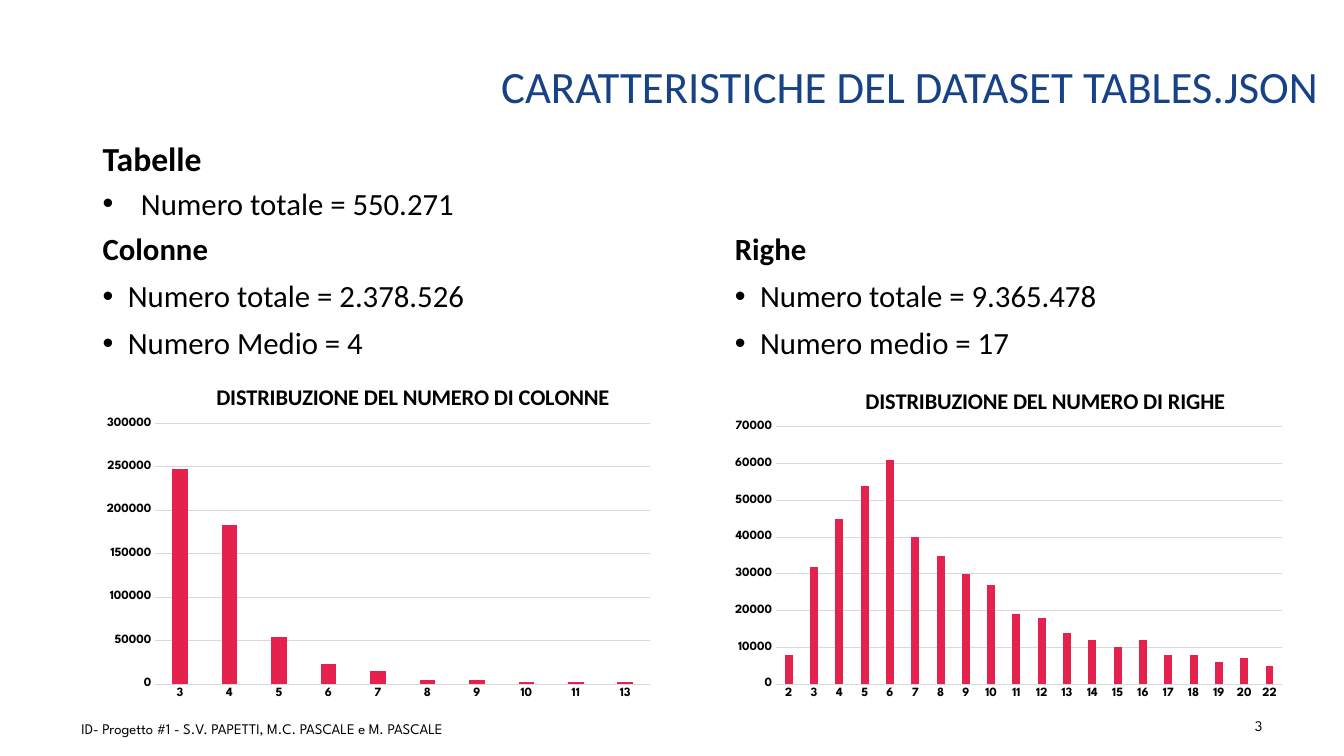
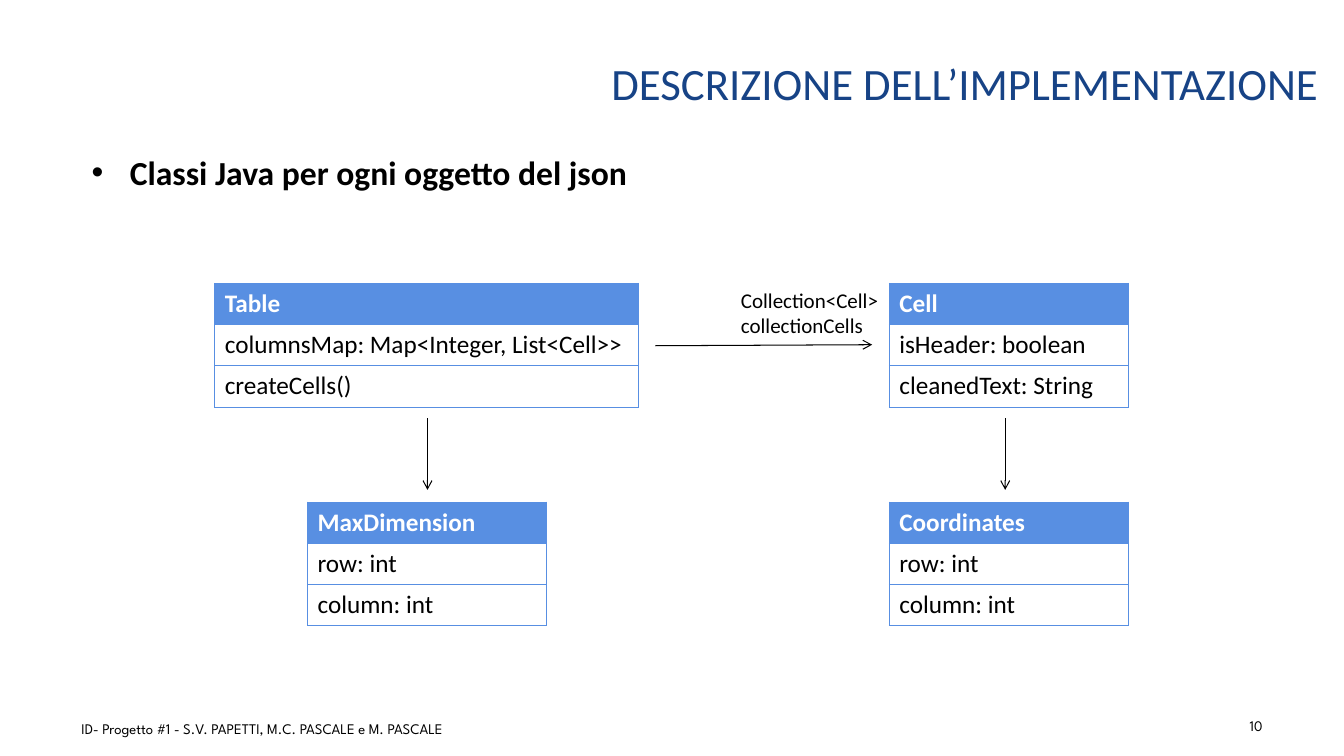
from lxml import etree
from pptx import Presentation
from pptx.chart.data import CategoryChartData
from pptx.dml.color import RGBColor
from pptx.enum.chart import XL_CHART_TYPE, XL_TICK_MARK
from pptx.enum.shapes import MSO_CONNECTOR
from pptx.enum.text import MSO_ANCHOR, PP_ALIGN
from pptx.oxml.ns import qn
from pptx.util import Inches, Pt

COLUMNS = XL_CHART_TYPE.COLUMN_CLUSTERED
NO_TICK = XL_TICK_MARK.NONE
STRAIGHT = MSO_CONNECTOR.STRAIGHT
TOP, MIDDLE, BOTTOM = MSO_ANCHOR.TOP, MSO_ANCHOR.MIDDLE, MSO_ANCHOR.BOTTOM
LEFT, RIGHT = PP_ALIGN.LEFT, PP_ALIGN.RIGHT

COLORS = {
    "title": "174386",
    "text": "000000",
    "white": "FFFFFF",
    "bar": "E5224E",
    "grid": "D9D9D9",
    "table": "588FE2",
}
BODY_FONT = "Calibri"
SMALL_FONT = "League Spartan"
FOOTER = "ID- Progetto #1 - S.V. PAPETTI, M.C. PASCALE e M. PASCALE"
ROW_HEIGHT = 0.41


def rgb(name):
    return RGBColor.from_string(COLORS[name])


def style_font(font, size, color="text", bold=False, name=BODY_FONT):
    font.name, font.size, font.bold = name, Pt(size), bold
    font.color.rgb = rgb(color)


def add_bullet(paragraph, indent):
    properties = paragraph._p.get_or_add_pPr()
    properties.set("marL", str(Inches(indent)))
    properties.set("indent", str(-Inches(indent)))
    etree.SubElement(properties, qn("a:buFont"), typeface="Arial")
    etree.SubElement(properties, qn("a:buChar"), char="•")


def add_border(cell):
    properties = cell._tc.get_or_add_tcPr()
    for side in ("a:lnL", "a:lnR", "a:lnT", "a:lnB"):
        line = etree.SubElement(properties, qn(side), w=str(Pt(0.75)))
        fill = etree.SubElement(line, qn("a:solidFill"))
        etree.SubElement(fill, qn("a:srgbClr"), val=COLORS["table"])


def place_in_chart(element, **fractions):
    """Pin a chart title or plot area at fractions of the chart's size."""
    for automatic in element.findall(qn("c:layout")):
        element.remove(automatic)
    layout = etree.Element(qn("c:layout"))
    manual = etree.SubElement(layout, qn("c:manualLayout"))
    if "w" in fractions:
        etree.SubElement(manual, qn("c:layoutTarget"), val="inner")
    for axis in ("x", "y"):
        etree.SubElement(manual, qn(f"c:{axis}Mode"), val="edge")
    for key, value in fractions.items():
        etree.SubElement(manual, qn(f"c:{key}"), val=str(value))
    text = element.find(qn("c:tx"))
    element.insert(0 if text is None else 1, layout)


class Deck:
    def __init__(self):
        self.presentation = Presentation()
        self.presentation.slide_width = Inches(13.33)
        self.presentation.slide_height = Inches(7.5)
        self.slide = None

    def add_slide(self, title, number, title_top):
        layout = self.presentation.slide_layouts[6]
        self.slide = self.presentation.slides.add_slide(layout)
        self.text((1.32, title_top, 11.86, 1.17), [(title, 32, False, 0)],
                  MIDDLE, RIGHT, color="title", spacing=0.9)
        self.text((0.71, 7.03, 8.5, 0.4), [(FOOTER, 10.5, False, 0)],
                  MIDDLE, font=SMALL_FONT)
        self.text((9.62, 7, 3, 0.4), [(number, 10.5, False, 0)],
                  MIDDLE, RIGHT, font=SMALL_FONT)

    def text(self, box, lines, anchor=TOP, align=LEFT, color="text",
             font=BODY_FONT, spacing=None, before=0):
        """Add lines of (text, size, bold, bullet indent)."""
        shape = self.slide.shapes.add_textbox(*map(Inches, box))
        frame = shape.text_frame
        frame.word_wrap = True
        frame.vertical_anchor = anchor
        frame.text = "\n".join(line[0] for line in lines)
        for paragraph, (_, size, bold, indent) in zip(frame.paragraphs, lines):
            paragraph.alignment = align
            paragraph.space_before = Pt(before)
            if spacing:
                paragraph.line_spacing = spacing
            if indent:
                add_bullet(paragraph, indent)
            style_font(paragraph.runs[0].font, size, color, bold, font)

    def chart(self, left, title, first, values, scale, title_at, plot_at):
        """Add a column chart; scale is (maximum, step), first the categories."""
        data = CategoryChartData()
        data.categories = first
        data.add_series("Series 1", values)
        box = map(Inches, (left, 3.58, 5.64, 3.45))
        chart = self.slide.shapes.add_chart(COLUMNS, *box, data).chart
        style_font(chart.font, 10, bold=True, name=SMALL_FONT)
        chart.has_legend = False
        chart.has_title = True
        frame = chart.chart_title.text_frame
        frame.text = title
        style_font(frame.paragraphs[0].runs[0].font, 16, bold=True)
        chart.chart_title.include_in_layout = False
        place_in_chart(chart.chart_title._element, **title_at)
        place_in_chart(chart._chartSpace.chart.plotArea, **plot_at)

        for axis in (chart.category_axis, chart.value_axis):
            axis.major_tick_mark = axis.minor_tick_mark = NO_TICK
            style_font(axis.tick_labels.font, 9, bold=True, name=SMALL_FONT)
        value_axis = chart.value_axis
        value_axis.minimum_scale = 0
        value_axis.maximum_scale, value_axis.major_unit = scale
        value_axis.format.line.fill.background()
        for line in (chart.category_axis.format.line,
                     value_axis.major_gridlines.format.line):
            line.color.rgb = rgb("grid")
            line.width = Pt(0.75)

        plot = chart.plots[0]
        plot.gap_width, plot.overlap = 219, -27
        plot.vary_by_categories = False
        bars = plot.series[0].format.fill
        bars.solid()
        bars.fore_color.rgb = rgb("bar")

    def class_table(self, left, top, width, rows):
        """Add a one-column class box whose first row is the class name."""
        box = map(Inches, (left, top, width, ROW_HEIGHT * len(rows)))
        table = self.slide.shapes.add_table(len(rows), 1, *box).table
        for index, text in enumerate(rows):
            is_header = index == 0
            table.rows[index].height = Inches(ROW_HEIGHT)
            cell = table.cell(index, 0)
            add_border(cell)
            if is_header:
                cell.fill.solid()
                cell.fill.fore_color.rgb = rgb("table")
            else:
                cell.fill.background()
            cell.text_frame.text = text
            style_font(cell.text_frame.paragraphs[0].runs[0].font, 18,
                       "white" if is_header else "text", is_header)

    def arrow(self, *ends):
        connector = self.slide.shapes.add_connector(STRAIGHT, *map(Inches, ends))
        connector.line.color.rgb = rgb("text")
        connector.line.width = Pt(0.75)
        etree.SubElement(connector.line._get_or_add_ln(), qn("a:tailEnd"),
                         type="arrow")
        etree.SubElement(connector._element.spPr, qn("a:effectLst"))


def add_dataset_slide(deck):
    deck.add_slide("CARATTERISTICHE DEL DATASET TABLES.JSON", "3", 0.3)
    deck.text((0.92, 1.35, 5.64, 0.9),
              [("Tabelle", 24, True, 0),
               ("Numero totale = 550.271", 22, False, 0.38)],
              BOTTOM, spacing=0.8, before=10)
    for left, heading, total, average in (
            (0.92, "Colonne", "Numero totale = 2.378.526", "Numero Medio = 4"),
            (7.19, "Righe", "Numero totale = 9.365.478", "Numero medio = 17")):
        deck.text((left, 2.27, 5.77, 1.4),
                  [(heading, 22, True, 0), (total, 22, False, 0.25),
                   (average, 22, False, 0.25)], spacing=0.9, before=10)
    deck.chart(0.92, "DISTRIBUZIONE DEL NUMERO DI COLONNE",
               [str(count) for count in (*range(3, 12), 13)],
               [248000, 183000, 54000, 23000, 15000, 5000, 5000, 2000, 2000,
                2000],
               (300000, 50000), {"x": 0.21, "y": 0.05},
               {"x": 0.11, "y": 0.18, "w": 0.87, "h": 0.75})
    deck.chart(7.19, "DISTRIBUZIONE DEL NUMERO DI RIGHE",
               [str(count) for count in (*range(2, 21), 22)],
               [8000, 32000, 45000, 54000, 61000, 40000, 35000, 30000, 27000,
                19000, 18000, 14000, 12000, 10000, 12000, 8000, 8000, 6000,
                7000, 5000],
               (70000, 10000), {"x": 0.24, "y": 0.06},
               {"x": 0.09, "y": 0.19, "w": 0.89, "h": 0.74})


def add_implementation_slide(deck):
    deck.add_slide("DESCRIZIONE DELL’IMPLEMENTAZIONE", "10", 0.27)
    deck.text((0.81, 1.46, 7.49, 0.5),
              [("Classi Java per ogni oggetto del json", 24, True, 0.38)])
    upper, lower = 2.81, 4.98
    dimensions = ["row: int", "column: int"]
    deck.class_table(2.13, upper, 4.2,
                     ["Table", "columnsMap: Map<Integer, List<Cell>>",
                      "createCells()"])
    deck.class_table(8.82, upper, 2.37,
                     ["Cell", "isHeader: boolean", "cleanedText: String"])
    deck.class_table(3.05, lower, 2.37, ["MaxDimension", *dimensions])
    deck.class_table(8.82, lower, 2.37, ["Coordinates", *dimensions])
    deck.text((7.25, 2.8, 2.1, 0.61),
              [("Collection<Cell> collectionCells", 15, False, 0)])
    deck.arrow(6.5, 3.43, 8.65, 3.42)
    for center in (4.24, 9.97):
        deck.arrow(center, 4.15, center, 4.86)


def main():
    deck = Deck()
    add_dataset_slide(deck)
    add_implementation_slide(deck)
    deck.presentation.save("out.pptx")


if __name__ == "__main__":
    main()
